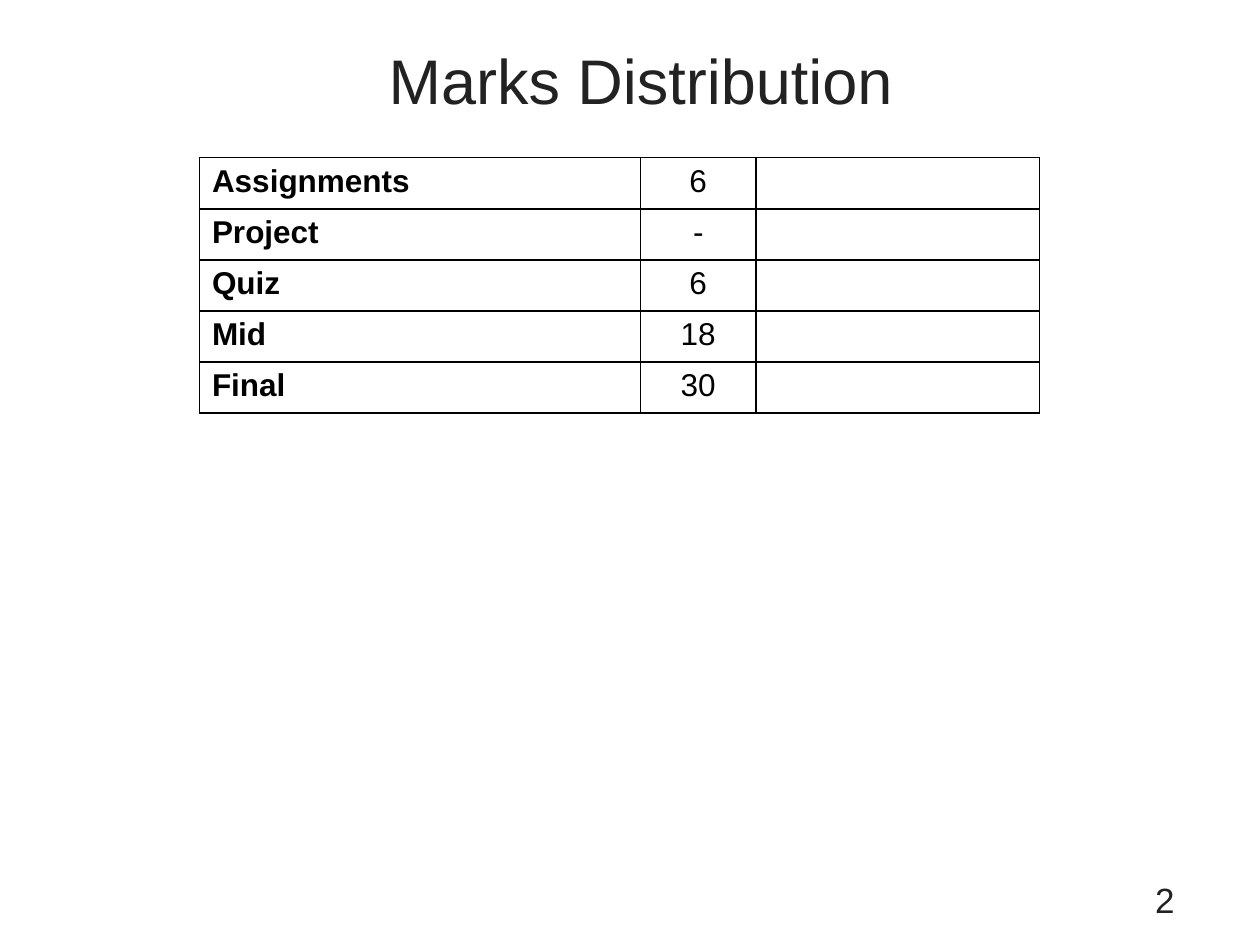
from dataclasses import dataclass

from lxml import etree
from pptx import Presentation
from pptx.dml.color import RGBColor
from pptx.enum.text import MSO_ANCHOR, PP_ALIGN
from pptx.oxml.ns import qn
from pptx.util import Cm, Pt

LEFT, CENTER, RIGHT = PP_ALIGN.LEFT, PP_ALIGN.CENTER, PP_ALIGN.RIGHT
MIDDLE, TOP = MSO_ANCHOR.MIDDLE, MSO_ANCHOR.TOP
BLACK, GRAY = "000000", "222222"
WIDTHS = (8.89, 2.33, 5.72)
HEIGHT = 1.03


@dataclass
class Mark:
    name: str
    score: str


MARKS = [
    Mark("Assignments", "6"),
    Mark("Project", "-"),
    Mark("Quiz", "6"),
    Mark("Mid", "18"),
    Mark("Final", "30"),
]


def color(value: str) -> RGBColor:
    return RGBColor.from_string(value)


def write(frame, text: str, size: float, ink: str, align, bold: bool = False) -> None:
    para = frame.paragraphs[0]
    para.text = text
    para.alignment = align
    style = {"name": "Arial", "size": Pt(size), "bold": bold}
    for key, value in style.items():
        setattr(para.font, key, value)
    para.font.color.rgb = color(ink)


def place(shape, left: float, top: float, width: float, height: float) -> None:
    box = {"left": left, "top": top, "width": width, "height": height}
    for key, value in box.items():
        setattr(shape, key, Cm(value))


def border(cell, ink: str, width: float) -> None:
    props = cell._tc.get_or_add_tcPr()
    for side in ("lnL", "lnR", "lnT", "lnB"):
        line = etree.SubElement(props, qn(f"a:{side}"), w=str(Pt(width)))
        fill = etree.SubElement(line, qn("a:solidFill"))
        etree.SubElement(fill, qn("a:srgbClr"), val=ink)


def grid(slide, left: float, top: float, marks: list[Mark]) -> None:
    frame = slide.shapes.add_table(
        len(marks), len(WIDTHS), Cm(left), Cm(top),
        Cm(sum(WIDTHS)), Cm(HEIGHT * len(marks)),
    )
    table = frame.table
    table.first_row = table.horz_banding = False
    for col, width in zip(table.columns, WIDTHS):
        col.width = Cm(width)
    for row, mark in zip(table.rows, marks):
        row.height = Cm(HEIGHT)
        name, score, _ = row.cells
        write(name.text_frame, mark.name, 18, BLACK, LEFT, True)
        write(score.text_frame, mark.score, 18, BLACK, CENTER)
        for cell in row.cells:
            border(cell, BLACK, 1)
            cell.fill.background()


def main() -> None:
    deck = Presentation()
    deck.slide_width, deck.slide_height = Cm(25.4), Cm(19.05)
    slide = deck.slides.add_slide(deck.slide_layouts[5])

    title = slide.shapes.title
    place(title, 1.7, 0, 22.43, 3.18)
    title.text_frame.vertical_anchor = MIDDLE
    write(title.text_frame, "Marks Distribution", 36, GRAY, CENTER)

    page = slide.shapes.add_textbox(0, 0, 0, 0)
    place(page, 18.21, 17.58, 5.72, 1.07)
    page.text_frame.word_wrap = True
    page.text_frame.vertical_anchor = TOP
    write(page.text_frame, "2", 20, GRAY, RIGHT)

    grid(slide, 4.02, 3.18, MARKS)
    deck.save("out.pptx")


if __name__ == "__main__":
    main()
